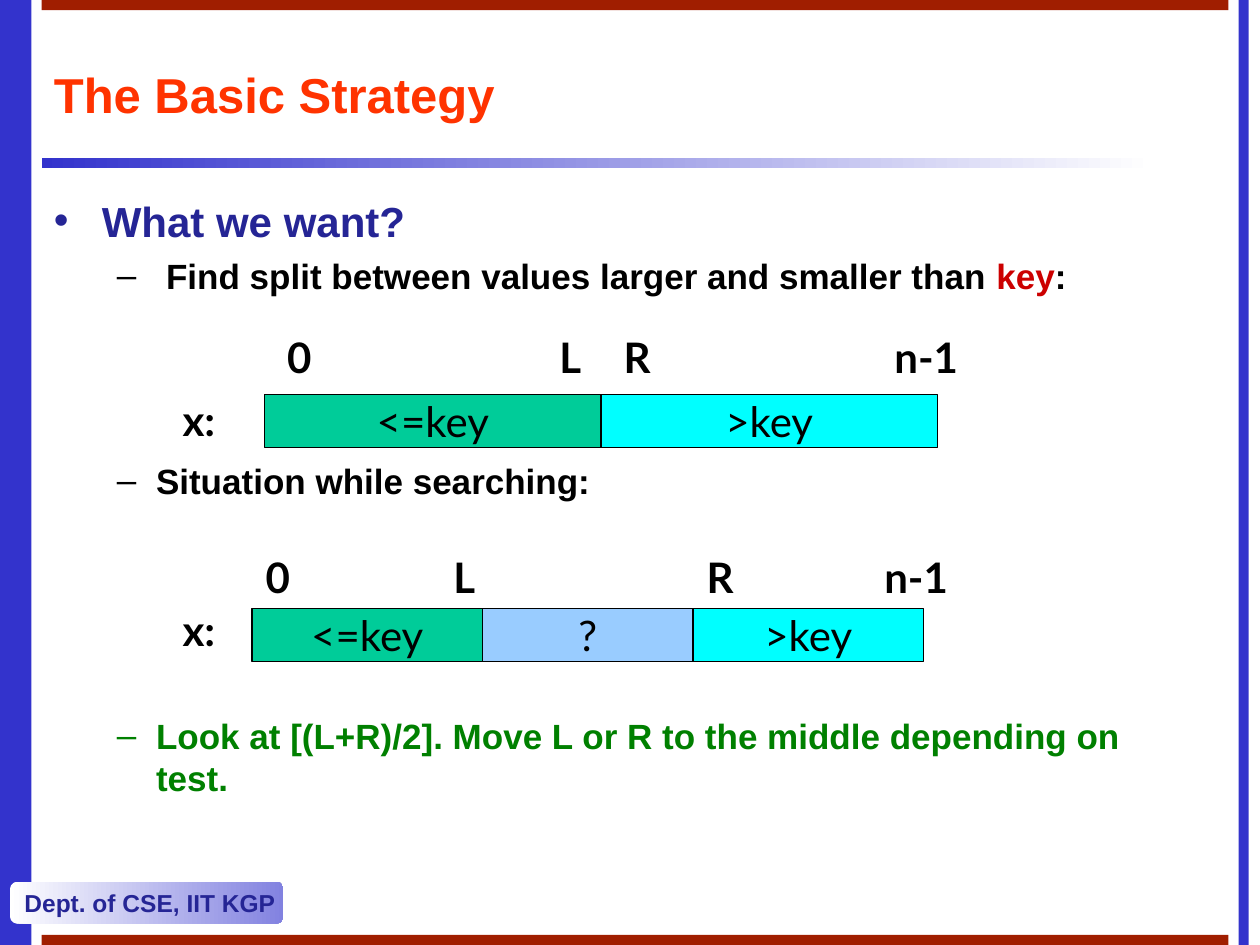
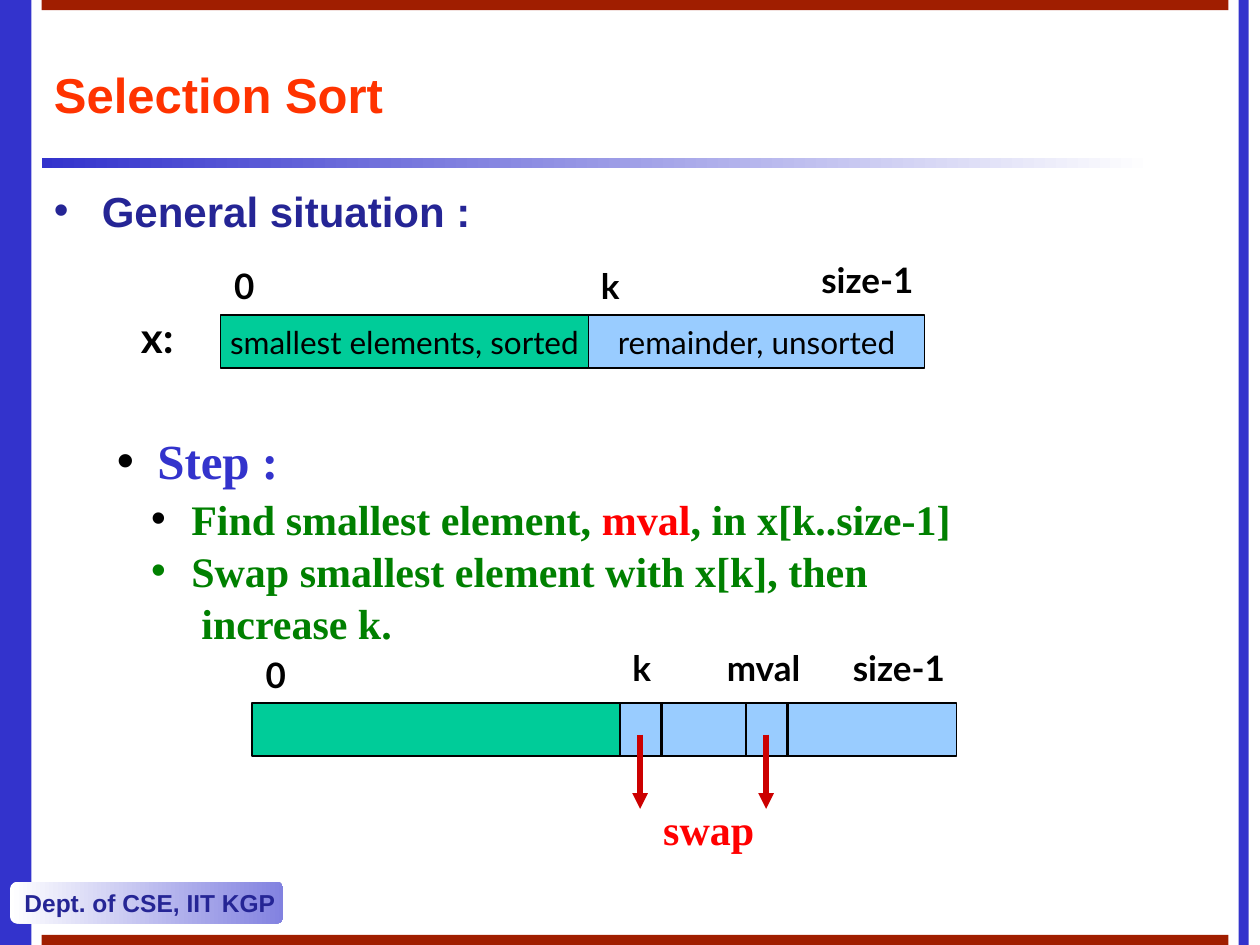
from lxml import etree
from pptx import Presentation
from pptx import util as u
from pptx.dml.color import RGBColor
from pptx.enum import shapes, text
from pptx.oxml.ns import qn

COLORS = {
    "blue": "3333CC", "navy": "252595", "lilac": "8282E0", "white": "FFFFFF",
    "brick": "A01E00", "orange": "FF3300", "black": "000000", "crimson": "CC0000",
    "red": "FF0000", "leaf": "008000", "green": "00CC99", "sky": "99CCFF", "cyan": "00FFFF",
}
RGB = {name: RGBColor.from_string(value) for name, value in COLORS.items()}
RECTANGLE = shapes.MSO_SHAPE.RECTANGLE
ROUNDED = shapes.MSO_SHAPE.ROUNDED_RECTANGLE
CENTER = text.PP_ALIGN.CENTER


def add_block(slide, kind, place, fills, outlined=False):
    shape = slide.shapes.add_shape(kind, *[u.Inches(value) for value in place])
    shape.shadow.inherit = False
    if len(fills) == 1:
        shape.fill.solid()
        shape.fill.fore_color.rgb = RGB[fills[0]]
    else:
        shape.fill.gradient()
        shape.fill.gradient_angle = 0
        for stop, name in zip(shape.fill.gradient_stops, fills):
            stop.color.rgb = RGB[name]
    if outlined:
        shape.line.color.rgb = RGB["black"]
        shape.line.width = u.Pt(0.75)
    else:
        shape.line.fill.background()
    return shape


def write(paragraph, runs, font, size, bold=True, align=text.PP_ALIGN.LEFT):
    paragraph.alignment = align
    for words, color in runs:
        run = paragraph.add_run()
        run.text = words
        run.font.name = font
        run.font.size = u.Pt(size)
        run.font.bold = bold
        run.font.color.rgb = RGB[color]


BANDS = [
    (RECTANGLE, (0, 0, 0.25, 7.5), ["blue"]),
    (RECTANGLE, (0.33, 1.25, 8.83, 0.08), ["blue", "white"]),
    (RECTANGLE, (9.83, 0, 0.08, 7.5), ["blue"]),
    (RECTANGLE, (0.33, 0, 9.42, 0.08), ["brick"]),
    (RECTANGLE, (0.33, 7.42, 9.42, 0.08), ["brick"]),
]

# Bullet rows: runs, size, text indent, hanging width, space before, bullet, bullet color
SLIDES = [
    {
        "title": "The Basic Strategy",
        "bodies": [
            ((0.33, 1.5, 8.92, 5.17), "Arial", [
                ([("What we want?", "navy")], 24, 0.38, 0.38, 0, "•", "navy"),
                ([("Find split between values larger and smaller than ", "black"),
                  ("key", "crimson"), (":", "black")], 20, 0.89, 0.39, 5, "–", "black"),
                ([("Situation while searching:", "black")], 20, 0.81, 0.31, 93, "–", "black"),
                ([("Look at [(L+R)/2]. Move L or R to the middle depending on test.", "leaf")],
                 20, 0.81, 0.31, 122, "–", "leaf"),
            ]),
        ],
        "bars": [
            (2.1, 3.13, 24, [(2.67, "green", "<=key"), (2.67, "cyan", ">key")]),
            (2, 4.83, 24, [(1.83, "green", "<=key"), (1.67, "sky", "?"), (1.83, "cyan", ">key")]),
        ],
        "labels": [
            ("x:", 1.35, 3.08, 0.49, 24), ("0", 2.18, 2.58, 0.39, 24),
            ("L", 4.34, 2.58, 0.39, 24), ("R", 4.85, 2.58, 0.42, 24),
            ("n-1", 7, 2.58, 0.92, 24),
            ("x:", 1.35, 4.75, 0.49, 24), ("0", 2.01, 4.33, 0.39, 24),
            ("L", 3.5, 4.33, 0.39, 24), ("R", 5.51, 4.33, 0.42, 24),
            ("n-1", 6.92, 4.33, 1.17, 24),
        ],
    },
    {
        "title": "Selection Sort",
        "bodies": [
            ((0.33, 1.42, 9.42, 0.77), "Arial", [
                ([("General situation :", "navy")], 24, 0.38, 0.38, 0, "•", "navy"),
            ]),
            ((0.83, 3.37, 6.92, 1.77), "Times New Roman", [
                ([("Step :", "blue")], 28, 0.32, 0.32, 0, "•", "black"),
                ([("Find smallest element, ", "leaf"), ("mval", "red"),
                  (", in x[k..size-1]", "leaf")], 24, 0.59, 0.32, 2, "•", "black"),
                ([("Swap smallest element with x[k], then", "leaf")],
                 24, 0.59, 0.32, 1, "•", "leaf"),
                ([("increase k.", "leaf")], 24, 0.67, 0, 1, None, None),
            ]),
        ],
        "bars": [
            (1.75, 2.5, 18, [(2.92, "green", "smallest elements, sorted"),
                             (2.67, "sky", "remainder, unsorted")]),
            (2, 5.58, 18, [(2.92, "green", ""), (2.67, "sky", "")]),
        ],
        "labels": [
            ("x:", 1.02, 2.42, 0.49, 24), ("0", 1.76, 2.05, 0.36, 20),
            ("k", 4.67, 2.05, 0.37, 20), ("size-1", 6.42, 2, 1.43, 20),
            ("0", 2.01, 5.14, 0.36, 20), ("k", 4.92, 5.08, 0.37, 20),
            ("mval", 5.67, 5.08, 1.43, 20), ("size-1", 6.67, 5.08, 1.43, 20),
        ],
    },
]

presentation = Presentation()
presentation.slide_width = u.Inches(10)
presentation.slide_height = u.Inches(7.5)

for content in SLIDES:
    slide = presentation.slides.add_slide(presentation.slide_layouts[6])
    for kind, place, fills in BANDS:
        add_block(slide, kind, place, fills)
    footer = add_block(slide, ROUNDED, (0.08, 7, 2.17, 0.33), ["white", "lilac"])
    footer.text_frame.word_wrap = False
    write(footer.text_frame.paragraphs[0], [("Dept. of CSE, IIT KGP", "navy")], "Arial", 14)

    title = slide.shapes.add_textbox(*[u.Inches(value) for value in (0.33, 0.33, 9.42, 0.83)])
    title.text_frame.word_wrap = True
    title.text_frame.vertical_anchor = text.MSO_ANCHOR.MIDDLE
    write(title.text_frame.paragraphs[0], [(content["title"], "orange")], "Arial", 28)

    for place, font, rows in content["bodies"]:
        body = slide.shapes.add_textbox(*[u.Inches(value) for value in place])
        body.text_frame.word_wrap = True
        for index, (runs, size, indent, hang, before, bullet, color) in enumerate(rows):
            frame = body.text_frame
            paragraph = frame.add_paragraph() if index else frame.paragraphs[0]
            paragraph.space_before = u.Pt(before)
            properties = paragraph._p.get_or_add_pPr()
            properties.set("marL", str(u.Inches(indent)))
            properties.set("indent", str(-u.Inches(hang)))
            if bullet:
                tint = etree.SubElement(properties, qn("a:buClr"))
                etree.SubElement(tint, qn("a:srgbClr"), val=COLORS[color])
                etree.SubElement(properties, qn("a:buFont"), typeface="Arial")
                etree.SubElement(properties, qn("a:buChar"), char=bullet)
            write(paragraph, runs, font, size)

    for left, top, size, cells in content["bars"]:
        for width, fill, words in cells:
            cell = add_block(slide, RECTANGLE, (left, top, width, 0.42), [fill], True)
            if words:
                cell.text_frame.word_wrap = False
                write(cell.text_frame.paragraphs[0], [(words, "black")], "Lato", size, False, CENTER)
            left += width

    for words, left, top, width, size in content["labels"]:
        height = 0.5 if size == 24 else 0.44
        label = slide.shapes.add_textbox(*[u.Inches(value) for value in (left, top, width, height)])
        label.text_frame.word_wrap = width > 0.6
        write(label.text_frame.paragraphs[0], [(words, "black")], "Lato", size)

dividers = [(x, 5.58, 6, "black", 1.5) for x in (5.25, 5.92, 6.25)]
arrows = [(x, 5.83, 6.42, "crimson", 3) for x in (5.08, 6.08)]
for x, top, bottom, color, weight in dividers + arrows:
    connector = slide.shapes.add_connector(
        shapes.MSO_CONNECTOR.STRAIGHT, u.Inches(x), u.Inches(top), u.Inches(x), u.Inches(bottom))
    connector.line.color.rgb = RGB[color]
    connector.line.width = u.Pt(weight)
    if color == "crimson":
        etree.SubElement(connector.line._get_or_add_ln(), qn("a:tailEnd"), type="triangle")
    etree.SubElement(connector._element.spPr, qn("a:effectLst"))

swap = slide.shapes.add_textbox(*[u.Inches(value) for value in (5, 6.33, 1.25, 0.5)])
swap.text_frame.word_wrap = True
write(swap.text_frame.paragraphs[0], [("swap", "red")], "Times New Roman", 24, align=CENTER)

presentation.save("out.pptx")
